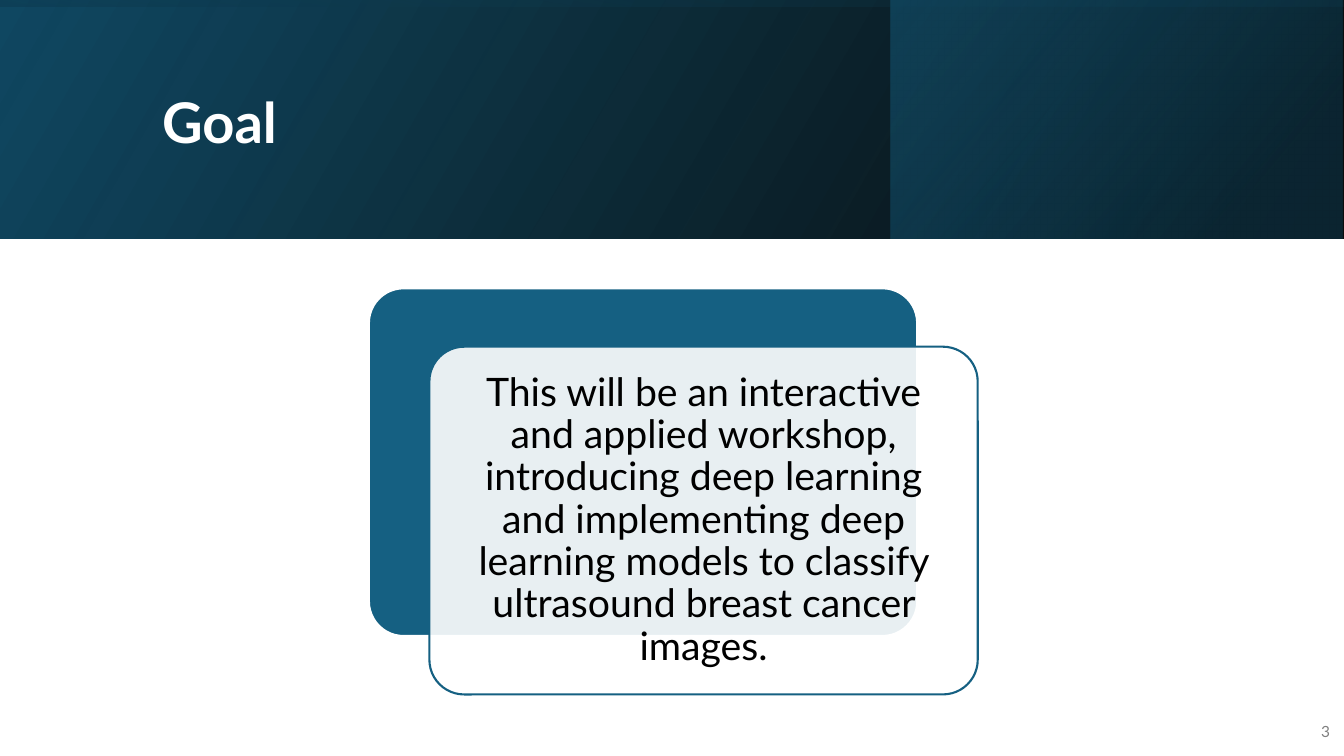
from lxml import etree
from pptx import Presentation
from pptx.dml.color import RGBColor
from pptx.enum.shapes import MSO_SHAPE
from pptx.enum.text import MSO_ANCHOR, PP_ALIGN
from pptx.oxml.ns import qn
from pptx.util import Inches, Pt

RECT, ROUNDED = MSO_SHAPE.RECTANGLE, MSO_SHAPE.ROUNDED_RECTANGLE
LEFT, CENTER, RIGHT = PP_ALIGN.LEFT, PP_ALIGN.CENTER, PP_ALIGN.RIGHT
MIDDLE = MSO_ANCHOR.MIDDLE

COLORS = {
    "white": "FFFFFF", "black": "000000", "gray": "808080",
    "teal": "156082", "deep": "104862", "navy": "0B3041",
}
FONT = "Lato"
COLUMNS = ROWS = 100  # the slide is a grid of 100 columns by 100 rows


class SlideBuilder:
    def __init__(self, prs):
        self.slide = prs.slides.add_slide(prs.slide_layouts[6])
        self.column = prs.slide_width / COLUMNS
        self.row = prs.slide_height / ROWS

    def color(self, name):
        return RGBColor.from_string(COLORS[name])

    def place(self, left, top, width, height):
        return (round(left * self.column), round(top * self.row),
                round(width * self.column), round(height * self.row))

    def band(self, area, stops, angle, turned=False):
        """Mirrored gradient band; a turned one is drawn upright and rotated."""
        x, y, w, h = self.place(*area)
        if turned:
            x, y, w, h = x + (w - h) // 2, y + (h - w) // 2, h, w
        band = self.slide.shapes.add_shape(RECT, x, y, w, h)
        band.shadow.inherit = False
        band.line.fill.background()
        band.rotation = 270 if turned else 0
        properties = band._element.spPr
        properties.xfrm.set("flipH", "1")
        # Gradient stops with their opacity
        band.fill.gradient()
        gradient = properties.find(qn("a:gradFill"))
        stop_list = gradient.find(qn("a:gsLst"))
        for old_stop in list(stop_list):
            stop_list.remove(old_stop)
        for position, name, opacity in stops:
            stop = etree.SubElement(stop_list, qn("a:gs"), pos=str(position * 1000))
            tint = etree.SubElement(stop, qn("a:srgbClr"), val=COLORS[name])
            etree.SubElement(tint, qn("a:alpha"), val=str(opacity * 1000))
        band.fill.gradient_angle = 360 - angle  # counter-clockwise

    def card(self, area, fill, line, opacity=100):
        card = self.slide.shapes.add_shape(ROUNDED, *self.place(*area))
        card.adjustments[0] = 0.1
        card.shadow.inherit = False
        card.fill.solid()
        card.fill.fore_color.rgb = self.color(fill)
        card.line.color.rgb = self.color(line)
        card.line.width = Pt(1.5)
        if opacity < 100:
            tint = card._element.spPr.find(qn("a:solidFill"))[0]
            etree.SubElement(tint, qn("a:alpha"), val=str(opacity * 1000))

    def text(self, area, words, size, color, align=LEFT, bold=False,
             spacing=1.0, inset=None):
        frame = self.slide.shapes.add_textbox(*self.place(*area)).text_frame
        frame.word_wrap = True
        frame.vertical_anchor = MIDDLE
        if inset:
            frame.margin_left = frame.margin_right = Inches(inset)
            frame.margin_top = frame.margin_bottom = Inches(inset)
        frame.text = words
        paragraph = frame.paragraphs[0]
        paragraph.alignment = align
        paragraph.line_spacing = spacing
        font = paragraph.runs[0].font
        font.name, font.size, font.bold = FONT, Pt(size), bold
        font.color.rgb = self.color(color)


def main():
    prs = Presentation()
    prs.slide_width, prs.slide_height = Inches(13.33), Inches(7.5)
    goal = SlideBuilder(prs)

    # Header
    header = (0, 0, COLUMNS, 31.6)
    goal.band(header, [(0, "black", 96), (100, "deep", 100)], 330)
    goal.band((66.3, 0, 33.6, 31.6), [(19, "navy", 68), (100, "teal", 48)], 320)
    goal.band(header, [(23, "deep", 16), (99, "black", 45)], 350, turned=True)
    goal.text((11.33, 5.07, 79.75, 22.93), "Goal", 40, "white", bold=True, spacing=0.9)

    # Slide number
    goal.text((96, 94.13, 3.7, 5.33), "3", 11, "gray", align=RIGHT)

    # Goal statement on two overlapping cards
    left, top, width, height = 27.45, 38.13, 40.8, 46
    goal.card((left, top, width, height), "teal", "white")
    left, top = left + 4.5, top + 7.73
    goal.card((left, top, width, height), "white", "teal", opacity=90)
    pad_x, pad_y = 0.75, 1.33
    goal.text((left + pad_x, top + pad_y, width - 2 * pad_x, height - 2 * pad_y),
              "This will be an interactive and applied workshop, introducing deep "
              "learning and implementing deep learning models to classify "
              "ultrasound breast cancer images.",
              28, "black", align=CENTER, spacing=0.9, inset=0.12)

    prs.save("out.pptx")


if __name__ == "__main__":
    main()
